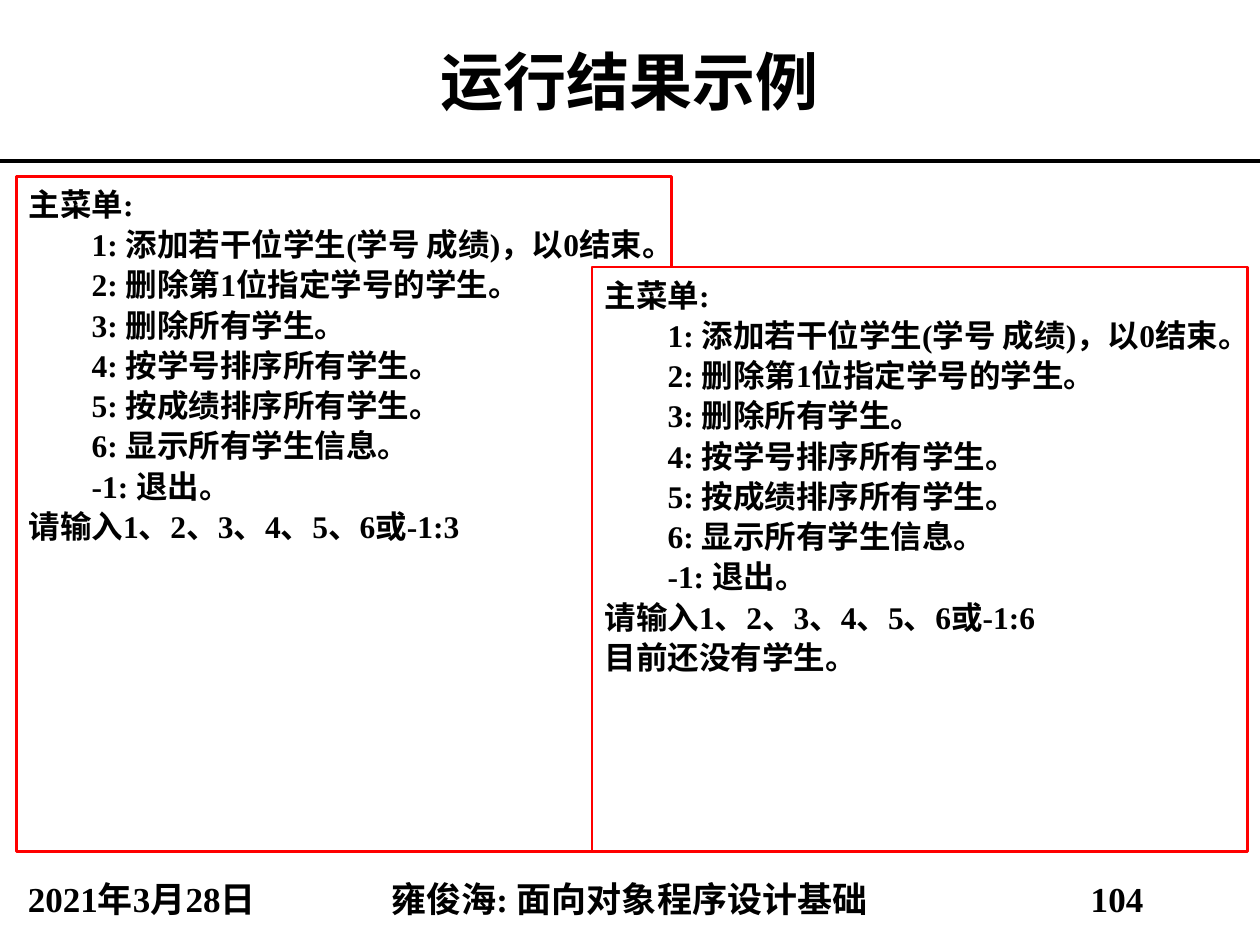
"""Build the slide of sample menu runs with two overlapping console panels."""
from lxml import etree
from pptx import Presentation
from pptx.dml.color import RGBColor
from pptx.enum import shapes, text
from pptx.oxml.ns import qn
from pptx.util import Inches, Pt

BLACK = RGBColor(0, 0, 0)
WHITE = RGBColor(255, 255, 255)
RED = RGBColor(255, 0, 0)
FONT = "Times New Roman"
MENU = [
    "1: 添加若干位学生(学号 成绩)，以0结束。",
    "2: 删除第1位指定学号的学生。",
    "3: 删除所有学生。",
    "4: 按学号排序所有学生。",
    "5: 按成绩排序所有学生。",
    "6: 显示所有学生信息。",
    "-1: 退出。",
]
ASK = "请输入1、2、3、4、5、6或-1:"


def write(para, words, size, gap):
    para.line_spacing = gap
    run = para.add_run()
    run.text = words
    font = run.font
    font.name, font.size, font.bold = FONT, Pt(size), True
    font.color.rgb = BLACK


prs = Presentation()
prs.slide_width, prs.slide_height = Inches(10), Inches(7.5)
slide = prs.slides.add_slide(prs.slide_layouts[6])
parts = slide.shapes

labels = [
    ("运行结果示例", 0, 0, 10, 1.27, 36, 1.0),
    ("2021年3月28日", 0, 6.95, 2.25, 0.4, 20, 0.9),
    ("雍俊海: 面向对象程序设计基础", 2.25, 6.95, 5.49, 0.4, 20, 0.9),
    ("104", 7.74, 6.95, 2.25, 0.4, 20, 0.9),
]
for words, left, top, width, height, size, gap in labels:
    box = parts.add_textbox(Inches(left), Inches(top), Inches(width), Inches(height))
    frame = box.text_frame
    frame.word_wrap = True
    frame.vertical_anchor = text.MSO_ANCHOR.MIDDLE
    para = frame.paragraphs[0]
    para.alignment = text.PP_ALIGN.CENTER
    write(para, words, size, gap)

rule = parts.add_connector(
    shapes.MSO_CONNECTOR.STRAIGHT, Inches(0), Inches(1.28), Inches(10), Inches(1.28)
)
rule.line.color.rgb = BLACK
rule.line.width = Pt(2.25)
etree.SubElement(rule._element.spPr, qn("a:effectLst"))

base = 6.76
panels = [
    (0.13, 1.4, [ASK + "3"]),
    (4.7, 2.12, [ASK + "6", "目前还没有学生。"]),
]
for left, top, tail in panels:
    panel = parts.add_shape(
        shapes.MSO_SHAPE.RECTANGLE,
        Inches(left), Inches(top), Inches(5.2), Inches(base - top),
    )
    panel.shadow.inherit = False
    panel.fill.solid()
    panel.fill.fore_color.rgb = WHITE
    panel.line.color.rgb = RED
    panel.line.width = Pt(1.5)
    frame = panel.text_frame
    frame.word_wrap = True
    frame.vertical_anchor = text.MSO_ANCHOR.TOP
    for num, words in enumerate(["主菜单:"] + MENU + tail):
        para = frame.add_paragraph() if num else frame.paragraphs[0]
        para.alignment = text.PP_ALIGN.LEFT
        if words in MENU:
            props = para._p.get_or_add_pPr()
            props.set("marL", "0")
            props.set("indent", str(Inches(0.5)))
        write(para, words, 18, Pt(23))

prs.save("out.pptx")
